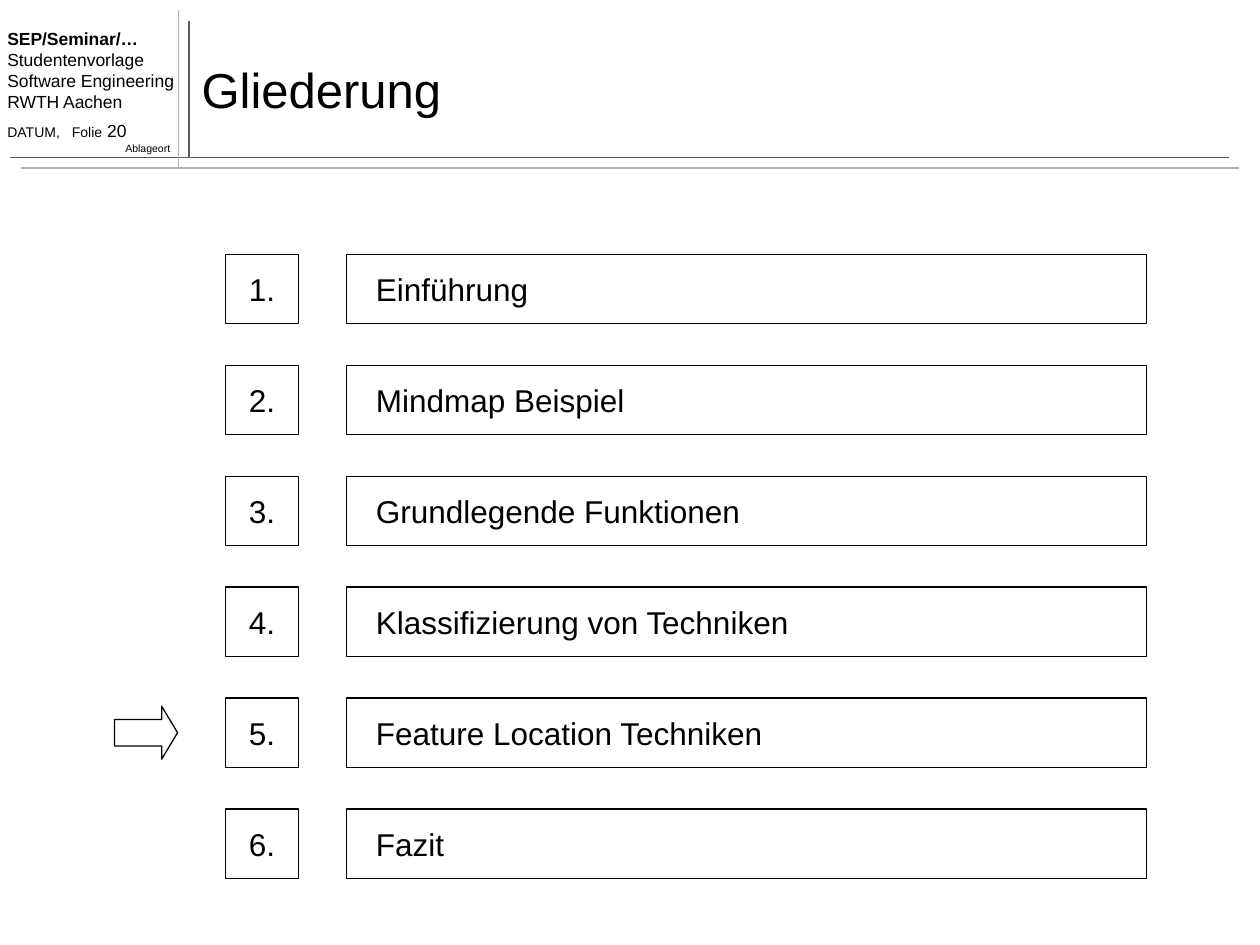
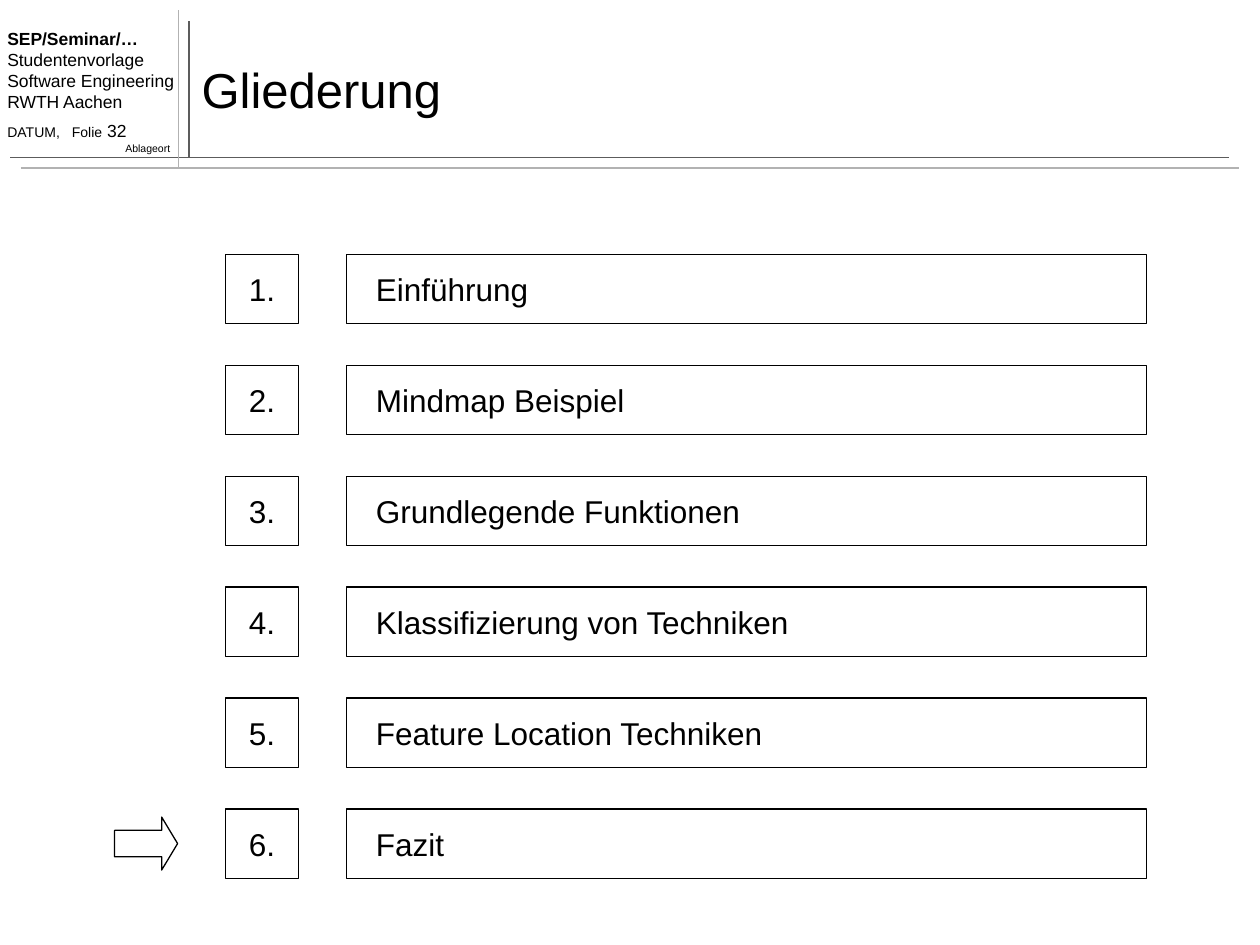
from dataclasses import dataclass

from lxml import etree
from pptx import Presentation
from pptx.dml.color import RGBColor
from pptx.enum import shapes, text
from pptx.oxml import ns
from pptx.util import Pt

COLORS = {"text": "000000", "dark": "5C5C5C", "light": "B2B2B2"}
FONT = "Arial"
TITLE = "Gliederung"
HEADER = ["SEP/Seminar/…", "Studentenvorlage", "Software Engineering", "RWTH Aachen"]
TOPICS = [
    "Einführung",
    "Mindmap Beispiel",
    "Grundlegende Funktionen",
    "Klassifizierung von Techniken",
    "Feature Location Techniken",
    "Fazit",
]

ROW_TOP, ROW_STEP, ROW_HEIGHT = 145.44, 63.36, 39.6
NUMBER_LEFT, NUMBER_WIDTH = 128.88, 41.76
TOPIC_LEFT, TOPIC_WIDTH, TOPIC_INSET = 198, 457.2, 16.8
ARROW_LEFT, ARROW_WIDTH, ARROW_HEIGHT = 65.5, 36, 30.24
FOLIE_TAB = 36.9


@dataclass(frozen=True)
class Rule:
    x1: float
    y1: float
    x2: float
    y2: float
    color: str


@dataclass(frozen=True)
class Agenda:
    number: int
    current: int


RULES = [
    Rule(108, 90, 108, 12, "dark"),
    Rule(6, 90, 702, 90, "dark"),
    Rule(12, 96, 708, 96, "light"),
    Rule(102, 96, 102, 6, "light"),
]
AGENDAS = [Agenda(number=20, current=5), Agenda(number=32, current=6)]


def rgb(name: str) -> RGBColor:
    return RGBColor.from_string(COLORS[name])


def format_runs(p, size: float, bold: bool = False) -> None:
    for r in p.runs:
        r.font.name = FONT
        r.font.size = Pt(size)
        r.font.bold = bold
        r.font.color.rgb = rgb("text")


def add_rule(s, rule: Rule) -> None:
    line = s.shapes.add_connector(
        shapes.MSO_CONNECTOR.STRAIGHT,
        Pt(rule.x1), Pt(rule.y1), Pt(rule.x2), Pt(rule.y2),
    )
    line.line.color.rgb = rgb(rule.color)
    line.line.width = Pt(1)
    etree.SubElement(line._element.spPr, ns.qn("a:effectLst"))


def add_tab_stop(p, position: float) -> None:
    tabs = etree.SubElement(p._p.get_or_add_pPr(), ns.qn("a:tabLst"))
    etree.SubElement(tabs, ns.qn("a:tab"), pos=str(Pt(position)), algn="l")


def add_header(s, number: int) -> None:
    tf = s.shapes.add_textbox(Pt(-2.88), Pt(12.24), Pt(110.88), Pt(74.16)).text_frame
    tf.word_wrap = True
    tf.text = "\n".join(HEADER)
    for i, p in enumerate(tf.paragraphs):
        format_runs(p, 10, bold=i == 0)

    p = tf.add_paragraph()
    p.text = "DATUM,\tFolie"
    p.space_before = Pt(5)
    add_tab_stop(p, FOLIE_TAB)
    format_runs(p, 8)
    r = p.add_run()
    r.text = f" {number}"
    format_runs(p, 8)
    r.font.size = Pt(10)

    tf = s.shapes.add_textbox(Pt(64.08), Pt(77.76), Pt(40.32), Pt(14.4)).text_frame
    tf.word_wrap = False
    tf.auto_size = text.MSO_AUTO_SIZE.SHAPE_TO_FIT_TEXT
    tf.text = "Ablageort"
    tf.paragraphs[0].alignment = text.PP_ALIGN.RIGHT
    format_runs(tf.paragraphs[0], 6)


def set_title(s) -> None:
    sp = s.shapes.title
    sp.left, sp.top, sp.width, sp.height = Pt(108), Pt(18), Pt(600), Pt(66)
    tf = sp.text_frame
    tf.text = TITLE
    tf.vertical_anchor = text.MSO_ANCHOR.MIDDLE
    tf.auto_size = text.MSO_AUTO_SIZE.NONE
    tf.paragraphs[0].alignment = text.PP_ALIGN.LEFT
    format_runs(tf.paragraphs[0], 28)


def add_outline(s, kind, left: float, top: float, width: float, height: float):
    """Add an unfilled preset shape with a thin black line."""
    sp = s.shapes.add_shape(kind, Pt(left), Pt(top), Pt(width), Pt(height))
    sp.shadow.inherit = False
    sp.fill.background()
    sp.line.color.rgb = rgb("text")
    sp.line.width = Pt(0.75)
    return sp


def add_box(s, label: str, left: float, top: float, width: float,
            align, inset: float = 0) -> None:
    sp = add_outline(s, shapes.MSO_SHAPE.RECTANGLE, left, top, width, ROW_HEIGHT)
    tf = sp.text_frame
    tf.margin_left, tf.margin_right = Pt(inset), Pt(0)
    tf.vertical_anchor = text.MSO_ANCHOR.MIDDLE
    tf.text = label
    tf.paragraphs[0].alignment = align
    format_runs(tf.paragraphs[0], 18)


def add_arrow(s, row_top: float) -> None:
    top = row_top + (ROW_HEIGHT - ARROW_HEIGHT) / 2
    sp = add_outline(s, shapes.MSO_SHAPE.RIGHT_ARROW,
                     ARROW_LEFT, top, ARROW_WIDTH, ARROW_HEIGHT)
    sp.adjustments[0], sp.adjustments[1] = 0.5, 0.3


def add_agenda(prs, agenda: Agenda) -> None:
    s = prs.slides.add_slide(prs.slide_layouts.get_by_name("Title Only"))
    for rule in RULES:
        add_rule(s, rule)
    add_header(s, agenda.number)
    set_title(s)
    for i, topic in enumerate(TOPICS):
        top = ROW_TOP + i * ROW_STEP
        add_box(s, f"{i + 1}.", NUMBER_LEFT, top, NUMBER_WIDTH, text.PP_ALIGN.CENTER)
        add_box(s, topic, TOPIC_LEFT, top, TOPIC_WIDTH, text.PP_ALIGN.LEFT, TOPIC_INSET)
        if i + 1 == agenda.current:
            add_arrow(s, top)


def main() -> None:
    prs = Presentation()
    prs.slide_width, prs.slide_height = Pt(720), Pt(540)
    for agenda in AGENDAS:
        add_agenda(prs, agenda)
    prs.save("out.pptx")


if __name__ == "__main__":
    main()
